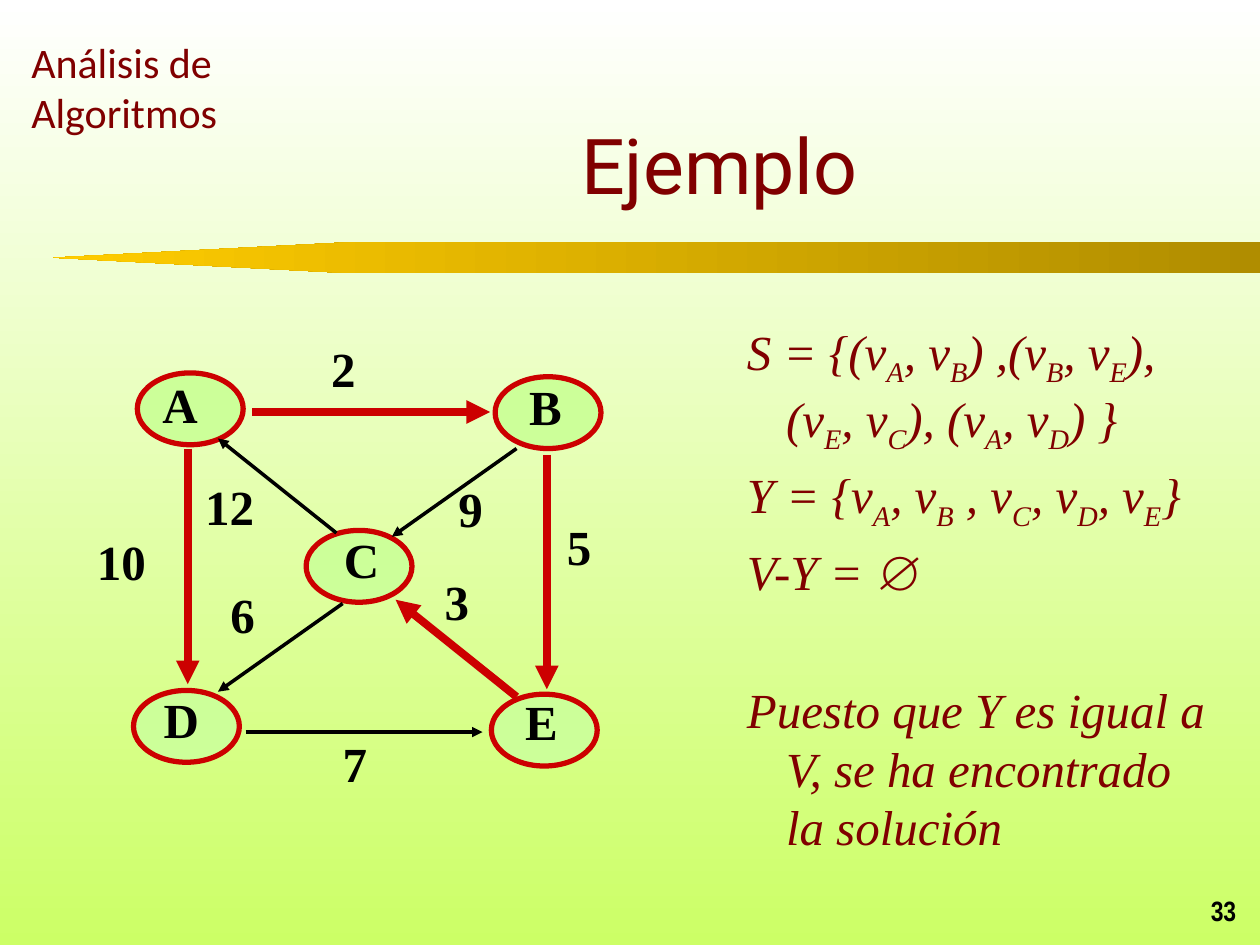
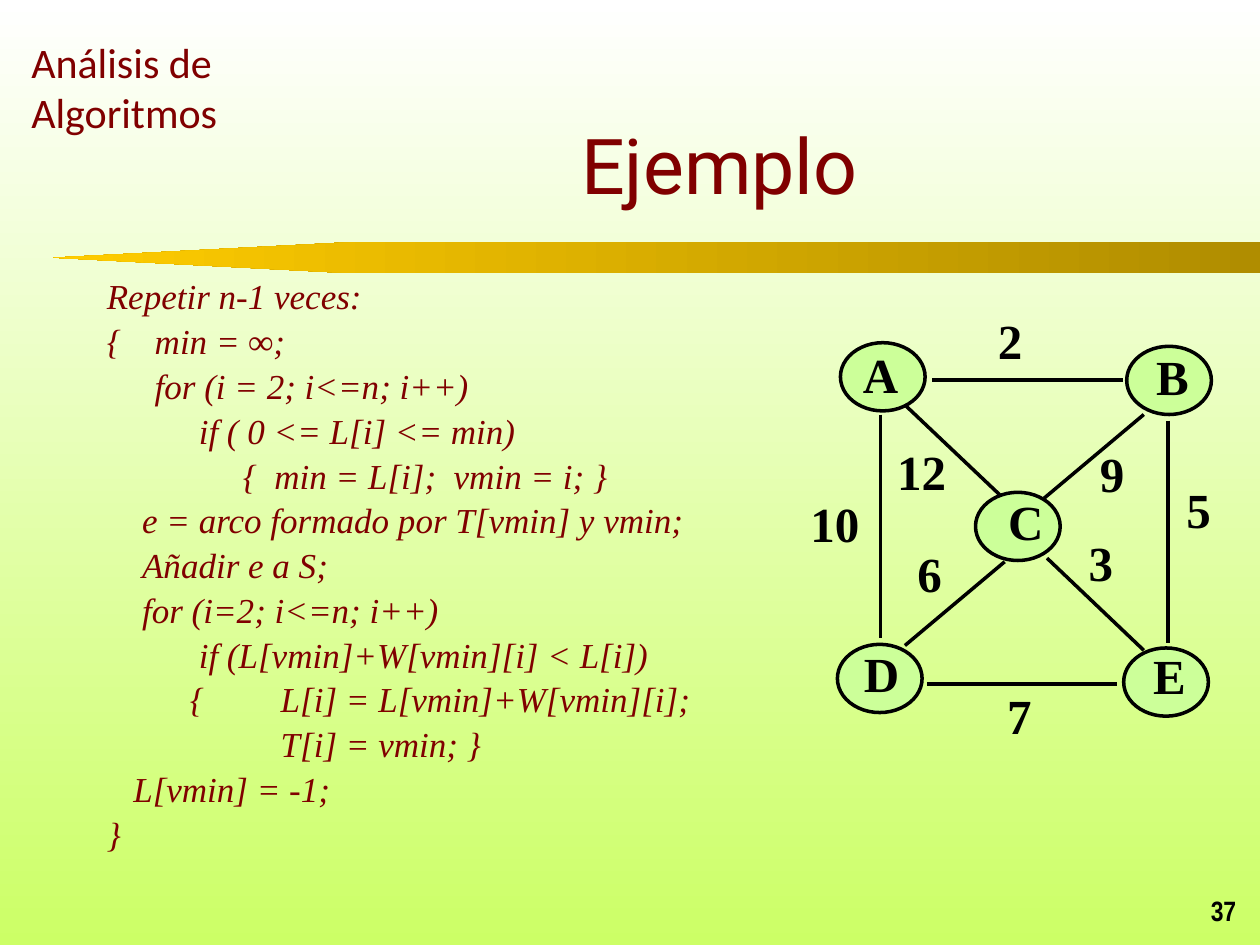
"""Builds two slides on finding a minimum spanning tree: the final step and the algorithm."""
from lxml.etree import SubElement
from pptx import Presentation
from pptx.dml.color import RGBColor
from pptx.enum.shapes import MSO_CONNECTOR, MSO_SHAPE
from pptx.enum.text import MSO_ANCHOR, PP_ALIGN
from pptx.oxml.ns import qn
from pptx.util import Inches, Pt

WHITE = RGBColor(0xFF, 0xFF, 0xFF)
LIME = RGBColor(0xCC, 0xFF, 0x66)
DARK_GOLD = RGBColor(0xB0, 0x8D, 0x00)
GOLD = RGBColor(0xFF, 0xCC, 0x00)
MAROON = RGBColor(0x80, 0x00, 0x00)
BLACK = RGBColor(0x00, 0x00, 0x00)
RED = RGBColor(0xCC, 0x00, 0x00)
NODE_GREEN = RGBColor(0xCC, 0xFF, 0x99)
SERIF = "Times New Roman"

NODES = [
    ("A", 1.09, 2.96, 1.19, 2.92),
    ("B", 3.93, 2.99, 4.1, 2.94),
    ("C", 2.43, 4.21, 2.63, 4.15),
    ("D", 1.06, 5.48, 1.2, 5.42),
    ("E", 3.9, 5.51, 4.07, 5.44),
]
EDGES = [
    ("2", 2, 3.27, 3.89, 3.27, 2.53, 2.64),
    ("7", 1.95, 5.81, 3.83, 5.81, 2.62, 5.77),
    ("5", 4.34, 3.61, 4.34, 5.47, 4.4, 4.05),
    ("10", 1.49, 3.56, 1.49, 5.43, 0.67, 4.17),
    ("6", 2.72, 4.79, 1.73, 5.49, 1.73, 4.59),
    ("9", 4.1, 3.56, 3.11, 4.26, 3.54, 3.75),
    ("12", 2.67, 4.23, 1.73, 3.48, 1.53, 3.73),
    ("3", 4.1, 5.53, 3.14, 4.76, 3.43, 4.49),
]
TREE_WEIGHTS = {"2", "5", "3", "10"}

SOLUTION = [
    "S = {(v_A, v_B) ,(v_B, v_E), (v_E, v_C), (v_A, v_D) }",
    "Y = {v_A, v_B , v_C, v_D, v_E}",
    "V-Y = ∅",
    "Puesto que Y es igual a V, se ha encontrado la solución",
]
ALGORITHM = [
    (0, 0.38, "Repetir n-1 veces:"),
    (0, 0.38, "{\tmin = ∞;"),
    (0.38, 0.38, "for (i = 2; i<=n; i++)"),
    (0.73, 0.73, "if ( 0 <= L[i] <= min)"),
    (1.08, 1.08, "{  min = L[i];  vmin = i; }"),
    (0.28, 0.38, "e = arco formado por T[vmin] y vmin;"),
    (0.28, 0.38, "Añadir e a S;"),
    (0.28, 0.38, "for (i=2; i<=n; i++)"),
    (0.73, 0.73, "if (L[vmin]+W[vmin][i] < L[i])"),
    (0.66, 1.38, "{\tL[i] = L[vmin]+W[vmin][i];"),
    (1.38, 1.38, "T[i] = vmin; }"),
    (0.21, 0.38, "L[vmin] = -1;"),
    (0, 0.38, "}"),
]


def set_gradient(fill, start, end, angle):
    fill.gradient()
    fill.gradient_angle = angle
    for stop, color in zip(fill.gradient_stops, (start, end)):
        stop.color.rgb = color


def add_text(slide, lines, left, top, width, height, size, font=SERIF, color=MAROON,
             bold=False, italic=False, align=PP_ALIGN.LEFT, anchor=MSO_ANCHOR.TOP):
    """Adds a text box; an underscore lowers the one letter after it."""
    frame = slide.shapes.add_textbox(
        Inches(left), Inches(top), Inches(width), Inches(height)).text_frame
    frame.word_wrap = True
    frame.vertical_anchor = anchor
    frame.text = "\n".join(lines)
    for paragraph, line in zip(frame.paragraphs, lines):
        paragraph.alignment = align
        first, *rest = line.split("_")
        paragraph.text = first
        for piece in rest:
            subscript = paragraph.add_run()
            subscript.text = piece[0]
            subscript.font._element.set("baseline", "-25000")
            paragraph.add_run().text = piece[1:]
        for run in paragraph.runs:
            run.font.size = Pt(size)
            run.font.name = font
            run.font.color.rgb = color
            run.font.bold = bold
            run.font.italic = italic
    return frame.paragraphs


prs = Presentation()
prs.slide_width, prs.slide_height = Inches(10), Inches(7.5)
set_gradient(prs.slide_master.background.fill, WHITE, LIME, 270)

for number, solved in (("33", True), ("37", False)):
    slide = prs.slides.add_slide(prs.slide_layouts[6])

    band = slide.shapes.add_shape(
        MSO_SHAPE.PENTAGON, Inches(0.42), Inches(1.92), Inches(9.58), Inches(0.25))
    band.adjustments[0] = 9.58
    band.shadow.inherit = False
    band.line.fill.background()
    set_gradient(band.fill, DARK_GOLD, GOLD, 0)
    band._element.spPr.xfrm.set("flipH", "1")

    add_text(slide, ["Análisis de", "Algoritmos"], 0.15, 0.24, 2.27, 0.9, 24, "Calibri")
    add_text(slide, [number], 7.83, 7.08, 2.08, 0.33, 16, "Arial Narrow", BLACK, bold=True,
             align=PP_ALIGN.RIGHT, anchor=MSO_ANCHOR.BOTTOM)
    add_text(slide, ["Ejemplo"], 2.17, 0.67, 7.08, 1.25, 44, "Roboto",
             align=PP_ALIGN.CENTER, anchor=MSO_ANCHOR.MIDDLE)

    if solved:
        statements = add_text(slide, SOLUTION, 5.33, 2.5, 4.42, 4.5, 28, italic=True)
        for statement in statements:
            statement.space_before = Pt(5.6)
            statement._p.get_or_add_pPr().set("marL", str(Inches(0.81)))
            statement._p.pPr.set("indent", str(Inches(-0.31)))
        statements[-1].space_before = Pt(45)
    else:
        steps = add_text(slide, [line for _, _, line in ALGORITHM],
                         0.75, 2.17, 8.5, 4.83, 20, italic=True)
        for step, (start, margin, _) in zip(steps, ALGORITHM):
            step.space_before = Pt(4)
            step.line_spacing = 0.9
            step._p.get_or_add_pPr().set("marL", str(Inches(margin)))
            step._p.pPr.set("indent", str(Inches(start - margin)))

    origin_x, origin_y = (1.09, 2.96) if solved else (6.67, 2.72)
    scale_x, scale_y = (1, 1) if solved else (0.8, 0.95)
    shift_x, shift_y = origin_x - 1.09 * scale_x, origin_y - 2.96 * scale_y

    for name, left, top, _, _ in NODES:
        node = slide.shapes.add_shape(
            MSO_SHAPE.OVAL, Inches(shift_x + left * scale_x), Inches(shift_y + top * scale_y),
            Inches(0.84 * scale_x), Inches(0.57 * scale_y))
        node.shadow.inherit = False
        node.fill.solid()
        node.fill.fore_color.rgb = NODE_GREEN
        node.line.color.rgb = RED if solved else BLACK
        node.line.width = Pt(3 if solved else 2)

    for weight, x1, y1, x2, y2, _, _ in EDGES:
        edge = slide.shapes.add_connector(
            MSO_CONNECTOR.STRAIGHT,
            Inches(shift_x + x1 * scale_x), Inches(shift_y + y1 * scale_y),
            Inches(shift_x + x2 * scale_x), Inches(shift_y + y2 * scale_y))
        in_tree = solved and weight in TREE_WEIGHTS
        edge.line.color.rgb = RED if in_tree else BLACK
        edge.line.width = Pt(4.5 if in_tree else 2)
        if solved:
            SubElement(edge.line._get_or_add_ln(), qn("a:tailEnd"), type="triangle")
        SubElement(edge._element.spPr, qn("a:effectLst"))

    labels = [(name, x, y, 0.52) for name, _, _, x, y in NODES]
    labels += [(weight, x, y, 0.25 + 0.2 * len(weight)) for weight, *_, x, y in EDGES]
    for label, x, y, width in labels:
        add_text(slide, [label], shift_x + x * scale_x, shift_y + y * scale_y, width, 0.56,
                 28, color=BLACK, bold=True)

prs.save("out.pptx")
